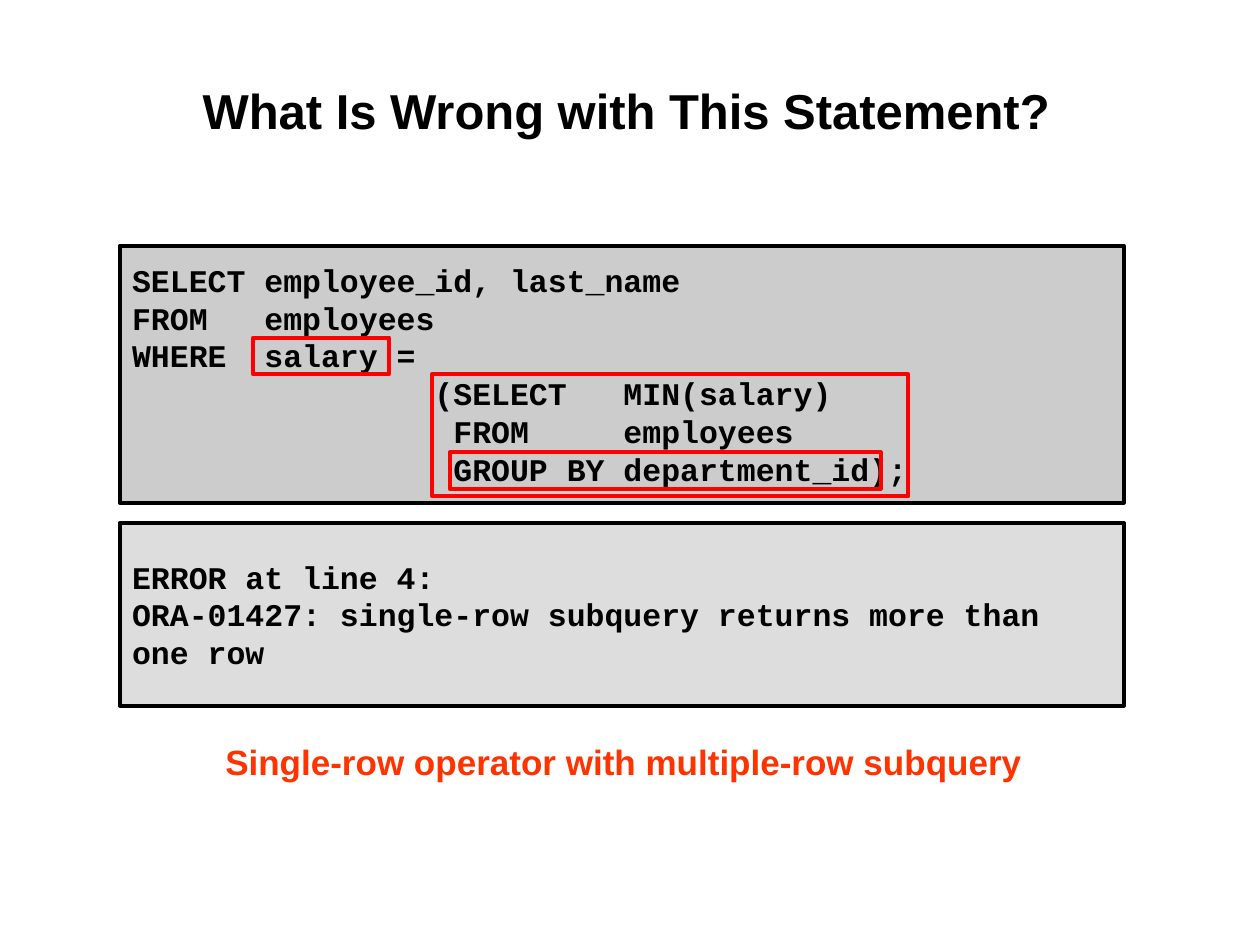
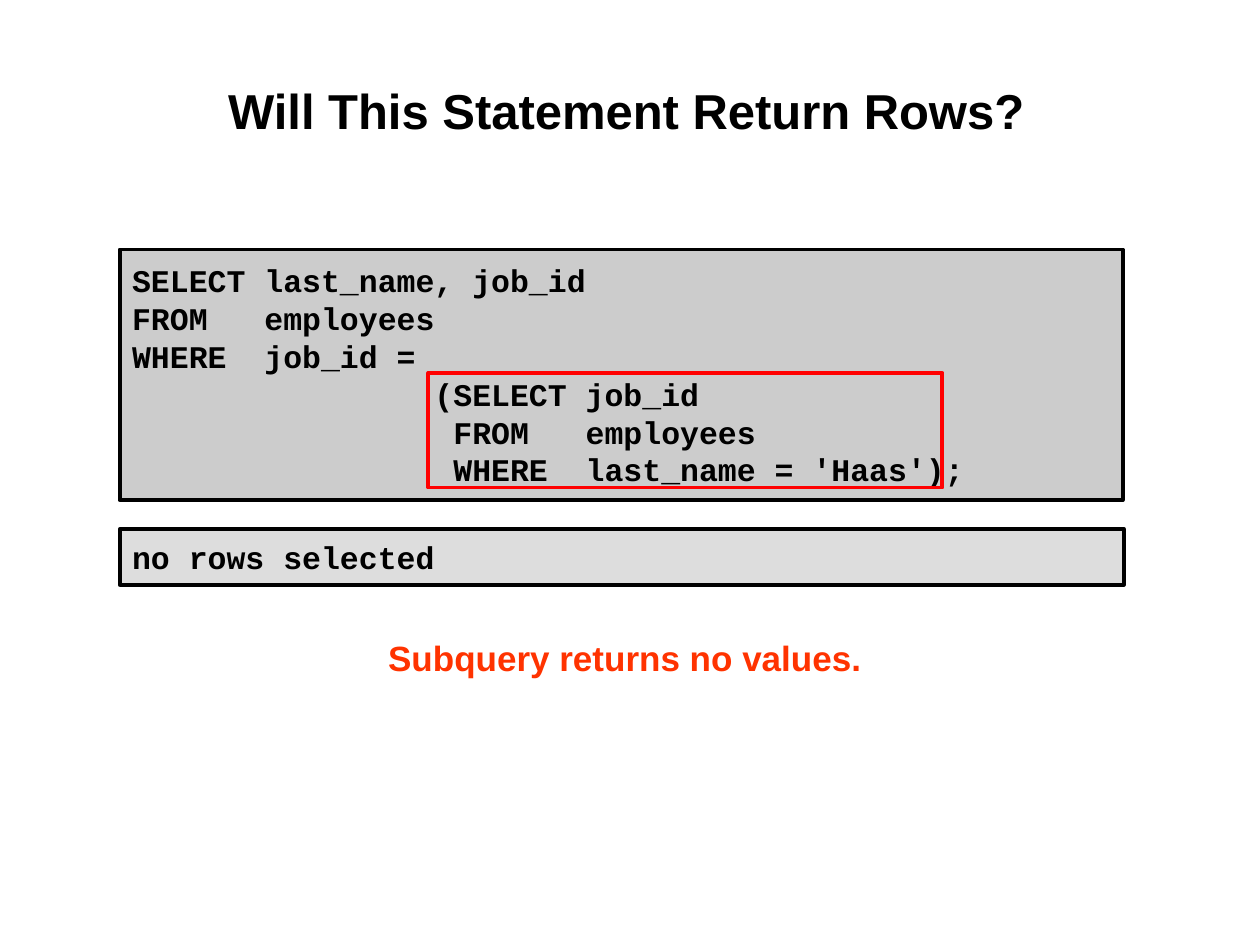
from dataclasses import dataclass
from typing import NamedTuple

from pptx import Presentation
from pptx.dml.color import RGBColor
from pptx.enum.shapes import MSO_SHAPE
from pptx.enum.text import MSO_ANCHOR, MSO_AUTO_SIZE, PP_ALIGN
from pptx.util import Inches, Pt

RECT = MSO_SHAPE.RECTANGLE
TOP, MIDDLE = MSO_ANCHOR.TOP, MSO_ANCHOR.MIDDLE
LEFT, CENTER = PP_ALIGN.LEFT, PP_ALIGN.CENTER
NO_AUTOSIZE = MSO_AUTO_SIZE.NONE

SLIDE_W, SLIDE_H = Inches(10), Inches(7.5)
COLS, ROWS = 100, 75
BORDER = Pt(2.25)
COLORS = {
    "text": "000000",
    "code": "CCCCCC",
    "result": "DDDDDD",
    "highlight": "FF0000",
    "caption": "FF3300",
}


class Box(NamedTuple):
    """A place on the slide grid, in columns and rows."""
    col: float
    row: float
    cols: float
    rows: float

    def emu(self) -> tuple[int, int, int, int]:
        col_w, row_h = SLIDE_W / COLS, SLIDE_H / ROWS
        return (round(self.col * col_w), round(self.row * row_h),
                round(self.cols * col_w), round(self.rows * row_h))


class TextStyle(NamedTuple):
    font: str
    size: int
    color: str
    align: PP_ALIGN
    anchor: MSO_ANCHOR
    margins: tuple[float, float, float, float]
    wrap: bool = True


@dataclass
class Example:
    title: str
    code: str
    code_box: Box
    result: str
    result_box: Box
    highlights: list[Box]
    caption: str
    caption_box: Box


TITLE_BOX = Box(9.7, 5.8, 80, 9.6)
TITLE = TextStyle("Arial", 28, "text", CENTER, TOP, (0.01, 0.06, 0.01, 0.01))
CODE = TextStyle("Courier New", 18, "text", LEFT, MIDDLE, (0.1, 0.05, 0.1, 0.05))
CAPTION = TextStyle("Arial", 20, "caption", CENTER, TOP, (0.1, 0.08, 0.1, 0.05), False)

EXAMPLES = [
    Example(
        title="What Is Wrong with This Statement?",
        code="""SELECT employee_id, last_name
FROM   employees
WHERE  salary =
                (SELECT   MIN(salary)
                 FROM     employees
                 GROUP BY department_id);""",
        code_box=Box(9.5, 19.5, 79.7, 20.4),
        result="ERROR at line 4:\n"
               "ORA-01427: single-row subquery returns more than\vone row",
        result_box=Box(9.5, 41.5, 79.7, 14.5),
        highlights=[Box(34.3, 29.7, 37.8, 9.7), Box(20.1, 26.8, 10.8, 2.9),
                    Box(35.7, 35.9, 34.2, 2.9)],
        caption="Single-row operator with multiple-row subquery",
        caption_box=Box(16.9, 58, 65.2, 4.4),
    ),
    Example(
        title="Will This Statement Return Rows?",
        code="""SELECT last_name, job_id
FROM   employees
WHERE  job_id =
                (SELECT job_id
                 FROM   employees
                 WHERE  last_name = 'Haas');""",
        code_box=Box(9.5, 19.8, 79.6, 19.9),
        result="no rows selected",
        result_box=Box(9.5, 42, 79.7, 4.4),
        highlights=[Box(34, 29.6, 40.8, 9.1)],
        caption="Subquery returns no values.",
        caption_box=Box(29.8, 49.7, 39.6, 4.4),
    ),
]


def rgb(name: str) -> RGBColor:
    return RGBColor.from_string(COLORS[name])


def write(shape, text: str, style: TextStyle) -> None:
    tf = shape.text_frame
    tf.text = text
    tf.auto_size = NO_AUTOSIZE
    tf.word_wrap = style.wrap
    tf.vertical_anchor = style.anchor
    (tf.margin_left, tf.margin_top,
     tf.margin_right, tf.margin_bottom) = map(Inches, style.margins)
    for p in tf.paragraphs:
        p.alignment = style.align
        for r in p.runs:
            r.font.name = style.font
            r.font.size = Pt(style.size)
            r.font.bold = True
            r.font.color.rgb = rgb(style.color)


def add_rect(s, box: Box, line: str, fill: str | None = None):
    """Draw a bordered rectangle, see-through when no fill is given."""
    sp = s.shapes.add_shape(RECT, *box.emu())
    sp.shadow.inherit = False
    sp.line.color.rgb = rgb(line)
    sp.line.width = BORDER
    if fill:
        sp.fill.solid()
        sp.fill.fore_color.rgb = rgb(fill)
    else:
        sp.fill.background()
    return sp


def add_example(prs, example: Example) -> None:
    s = prs.slides.add_slide(prs.slide_layouts[5])
    title = s.shapes.title
    title.left, title.top, title.width, title.height = TITLE_BOX.emu()
    write(title, example.title, TITLE)
    write(add_rect(s, example.code_box, "text", "code"), example.code, CODE)
    write(add_rect(s, example.result_box, "text", "result"), example.result, CODE)
    for box in example.highlights:
        add_rect(s, box, "highlight")
    write(s.shapes.add_textbox(*example.caption_box.emu()), example.caption, CAPTION)


def main() -> None:
    prs = Presentation()
    prs.slide_width, prs.slide_height = SLIDE_W, SLIDE_H
    for example in EXAMPLES:
        add_example(prs, example)
    prs.save("out.pptx")


if __name__ == "__main__":
    main()
